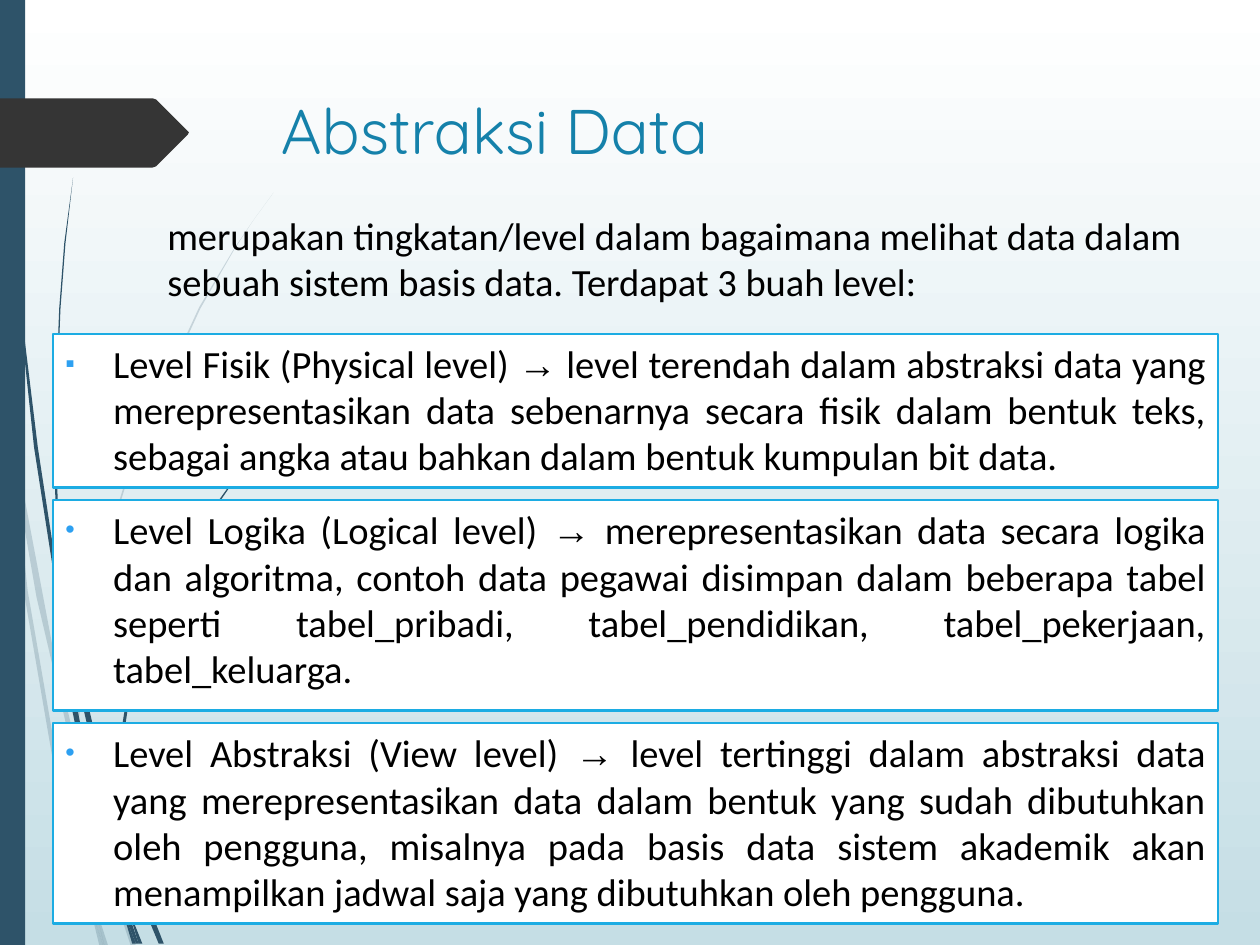
from dataclasses import dataclass

from lxml.etree import SubElement
from pptx import Presentation
from pptx.dml.color import RGBColor as RGB
from pptx.enum.shapes import MSO_SHAPE as SHAPE
from pptx.enum.text import MSO_ANCHOR as ANCHOR, MSO_AUTO_SIZE as FIT, PP_ALIGN as ALIGN
from pptx.oxml.ns import qn
from pptx.util import Pt

PX = 9144  # 100 px to the inch


@dataclass(frozen=True)
class Theme:
    sky_top: RGB = RGB(0xFF, 0xFF, 0xFF)
    sky_bottom: RGB = RGB(0xC5, 0xDE, 0xE5)
    slate: RGB = RGB(0x2E, 0x53, 0x69)
    tag: RGB = RGB(0x35, 0x35, 0x35)
    title: RGB = RGB(0x15, 0x81, 0xAA)
    ink: RGB = RGB(0, 0, 0)
    panel: RGB = RGB(0xFF, 0xFF, 0xFF)
    border: RGB = RGB(0x1C, 0xAC, 0xE3)
    bullet: RGB = RGB(0x2D, 0xA0, 0xF1)
    title_size: Pt = Pt(36)
    body_size: Pt = Pt(22)
    border_width: Pt = Pt(1.25)
    title_font: str = "Quicksand"
    body_font: str = "Calibri"
    arrow_font: str = "Arial"


theme = Theme()

# Outlines of the curved blades at the left edge, as x, y in px.
PALE_BLADES = [
    [(8, 350), (6, 322), (0, 282), (0, 299), (7, 344)],
    [(40, 521), (58, 599), (59, 586), (43, 520), (10, 345), (12, 376), (29, 474)],
    [(64, 607), (61, 596), (61, 610), (85, 694), (104, 751), (108, 751), (88, 692)],
    [(83, 751), (86, 751), (73, 711)],
    [(65, 683), (48, 619), (22, 469), (12, 376), (8, 350), (19, 470), (45, 621),
     (64, 693), (70, 714), (69, 707)],
    [(61, 584), (76, 462), (111, 349), (159, 245), (186, 198), (201, 175), (217, 153),
     (201, 175), (186, 197), (158, 244), (110, 348), (75, 461), (59, 584), (59, 586),
     (61, 596)],
    [(70, 714), (79, 751), (82, 751)],
    [(67, 692), (65, 683), (69, 707), (70, 714), (82, 751), (83, 751), (73, 711)],
]
DARK_BLADES = [
    [(5, 110), (14, 233), (27, 355), (46, 477), (47, 481), (45, 457), (45, 453),
     (30, 355), (15, 232), (6, 109), (4, 48), (3, 0), (2, 0), (3, 48)],
    [(73, 592), (88, 645), (88, 633), (88, 631), (77, 590), (50, 472), (53, 505)],
    [(94, 649), (91, 641), (91, 656), (109, 708), (126, 749), (130, 749), (113, 706)],
    [(91, 692), (81, 657), (60, 556), (53, 505), (47, 477), (56, 557), (77, 659),
     (92, 708), (97, 722), (96, 717)],
    [(50, 472), (48, 453), (44, 349), (48, 245), (52, 193), (58, 141), (51, 193),
     (47, 245), (43, 349), (45, 449), (49, 471)],
    [(110, 749), (113, 749), (101, 719)],
    [(91, 633), (103, 552), (131, 476), (169, 406), (191, 374), (203, 359), (216, 344),
     (215, 344), (203, 358), (191, 373), (168, 405), (129, 474), (101, 551), (88, 631),
     (91, 641)],
    [(97, 722), (105, 749), (108, 749)],
    [(96, 706), (91, 692), (96, 717), (97, 722), (108, 749), (110, 749), (100, 719)],
]
TITLE_TAG = [(0, 78), (121, 78), (124, 79), (149, 104), (150, 105), (149, 107),
             (124, 132), (121, 133), (0, 133)]

INTRO = ("merupakan tingkatan/level dalam bagaimana melihat data dalam sebuah sistem "
         "basis data. Terdapat 3 buah level:")
LEVELS = [  # bullet, panel height, name, description
    ("▪", 122, "Level Fisik (Physical level) ",
     " level terendah dalam abstraksi data yang merepresentasikan data sebenarnya secara "
     "fisik dalam bentuk teks, sebagai angka atau bahkan dalam bentuk kumpulan bit data."),
    ("•", 167, "Level Logika (Logical level) ",
     " merepresentasikan data secara logika dan algoritma, contoh data pegawai disimpan "
     "dalam beberapa tabel seperti tabel_pribadi, tabel_pendidikan, tabel_pekerjaan, "
     "tabel_keluarga."),
    ("•", 159, "Level Abstraksi (View level) ",
     " level tertinggi dalam abstraksi data yang merepresentasikan data dalam bentuk yang "
     "sudah dibutuhkan oleh pengguna, misalnya pada basis data sistem akademik akan "
     "menampilkan jadwal saja yang dibutuhkan oleh pengguna."),
]
PANEL_LEFT, PANEL_TOP, PANEL_WIDTH, PANEL_GAP = 42, 265, 925, 10
BULLET_INDENT = 38

prs = Presentation()
prs.slide_width, prs.slide_height = 1000 * PX, 750 * PX
slide = prs.slides.add_slide(prs.slide_layouts[5])

sky = slide.background.fill
sky.gradient()
sky.gradient_angle = 270
for stop, colour, position in zip(sky.gradient_stops, (theme.sky_top, theme.sky_bottom), (0, 1)):
    stop.color.rgb = colour
    stop.position = position


def paint(shape, colour):
    """Give a shape a plain fill with neither line nor shadow."""
    shape.shadow.inherit = False
    shape.fill.solid()
    shape.fill.fore_color.rgb = colour
    shape.line.fill.background()


def add_outline(points, colour):
    builder = slide.shapes.build_freeform(*points[0], scale=PX)
    builder.add_line_segments(points[1:], close=True)
    outline = builder.convert_to_shape()
    paint(outline, colour)
    return outline


for blade_points in PALE_BLADES:
    blade = add_outline(blade_points, theme.slate)
    blade_colour = blade.fill._xPr.find(qn("a:solidFill"))[0]
    SubElement(blade_colour, qn("a:alpha"), val="20000")
for blade_points in DARK_BLADES:
    add_outline(blade_points, theme.slate)

side_band = slide.shapes.add_shape(SHAPE.RECTANGLE, 0, 0, 20 * PX, 750 * PX)
paint(side_band, theme.slate)
add_outline(TITLE_TAG, theme.tag)

title = slide.shapes.title
title.left, title.top, title.width, title.height = 213 * PX, 68 * PX, 721 * PX, 140 * PX
title.text_frame.text = "Abstraksi Data"
title.text_frame.vertical_anchor = ANCHOR.TOP
title.text_frame.auto_size = FIT.NONE
heading = title.text_frame.paragraphs[0]
heading.alignment = ALIGN.LEFT
heading.font.name = theme.title_font
heading.font.size = theme.title_size
heading.font.color.rgb = theme.title

intro = slide.shapes.add_textbox(123 * PX, 163 * PX, 844 * PX, 92 * PX).text_frame
intro.word_wrap = True
intro.text = INTRO
intro_font = intro.paragraphs[0].font
intro_font.name = theme.body_font
intro_font.size = theme.body_size
intro_font.color.rgb = theme.ink

panel_top = PANEL_TOP
for mark, panel_height, name, description in LEVELS:
    panel = slide.shapes.add_shape(SHAPE.RECTANGLE, PANEL_LEFT * PX, panel_top * PX,
                                   PANEL_WIDTH * PX, panel_height * PX)
    panel_top += panel_height + PANEL_GAP
    paint(panel, theme.panel)
    panel.line.color.rgb = theme.border
    panel.line.width = theme.border_width
    panel.text_frame.word_wrap = True
    panel.text_frame.vertical_anchor = ANCHOR.TOP

    level = panel.text_frame.paragraphs[0]
    level.alignment = ALIGN.JUSTIFY
    props = level._p.get_or_add_pPr()
    props.set("marL", str(BULLET_INDENT * PX))
    props.set("indent", str(-BULLET_INDENT * PX))
    SubElement(SubElement(props, qn("a:buClr")), qn("a:srgbClr"), val=str(theme.bullet))
    SubElement(props, qn("a:buSzPct"), val="70000")
    SubElement(props, qn("a:buFont"), typeface=theme.arrow_font)
    SubElement(props, qn("a:buChar"), char=mark)
    for words, face in ((name, theme.body_font), ("→", theme.arrow_font),
                        (description, theme.body_font)):
        run = level.add_run()
        run.text = words
        run.font.name = face
        run.font.size = theme.body_size
        run.font.color.rgb = theme.ink

prs.save("out.pptx")
